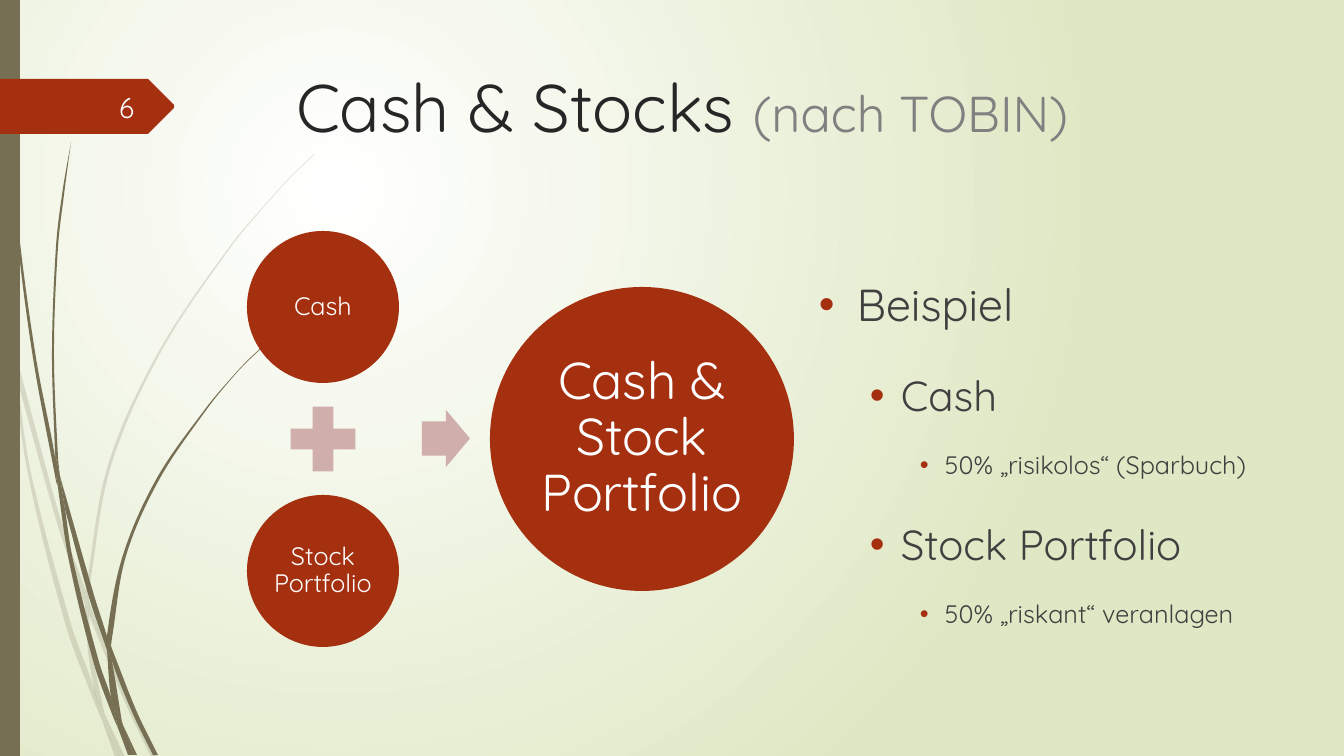
import math
from typing import NamedTuple

from lxml import etree
from pptx import Presentation
from pptx import util as u
from pptx.dml.color import RGBColor
from pptx.enum import shapes, text
from pptx.oxml.ns import qn

EMU_PER_PX = 12192000 / 1344
SLIDE_SIZE = (1344, 756)
FONT = "Quicksand"

RUST = RGBColor(0xA5, 0x30, 0x10)
ROSE = RGBColor(0xCF, 0xAE, 0xAB)
OLIVE = RGBColor(0x76, 0x6F, 0x54)
LIME = RGBColor(0xDF, 0xE8, 0xC4)
WHITE = RGBColor(0xFF, 0xFF, 0xFF)
OFF_WHITE = RGBColor(0xFE, 0xFF, 0xFF)
INK = RGBColor(0x26, 0x26, 0x26)
BODY = RGBColor(0x40, 0x40, 0x40)
GREY = RGBColor(0x80, 0x80, 0x80)

Point = tuple[int, int]


class Box(NamedTuple):
    left: int
    top: int
    width: int
    height: int


class Blade(NamedTuple):
    """A piece of grass: one edge out, the other edge back."""
    out: list[Point]
    back: list[Point]


class Figure(NamedTuple):
    preset: shapes.MSO_SHAPE
    box: Box
    color: RGBColor
    adjustments: tuple[float, ...] = ()
    label: str = ""
    size: int = 0
    inset: int = 0


class Level(NamedTuple):
    margin: int
    hang: int
    size: int


PALE_GRASS = [
    Blade([(11, 353), (9, 325), (0, 284)], [(0, 301), (10, 347)]),
    Blade([(17, 379), (58, 526), (85, 604)], [(86, 591), (62, 524), (14, 348)]),
    Blade([(89, 615), (124, 700), (151, 757)], [(156, 757), (128, 698), (93, 612), (89, 601)]),
    Blade([(106, 717), (120, 757)], [(125, 757)]),
    Blade([(11, 353), (28, 474), (66, 626), (93, 699), (102, 720)],
          [(100, 713), (94, 688), (71, 624), (31, 473), (17, 379)]),
    Blade([(85, 604), (88, 651), (94, 688), (97, 698), (106, 717)],
          [(104, 712), (92, 651), (89, 615), (89, 613)]),
    Blade([(89, 589), (111, 466), (161, 352), (231, 247), (270, 200), (292, 176), (314, 155)],
          [(314, 154), (291, 176), (270, 199), (230, 246), (159, 351), (108, 465), (86, 589),
           (86, 591), (89, 601)]),
    Blade([(102, 720), (115, 757)], [(120, 757)]),
    Blade([(89, 613), (89, 601)], [(86, 591), (85, 604)]),
    Blade([(94, 688), (100, 713), (102, 720), (120, 757)], [(106, 717), (97, 698)]),
]
DARK_GRASS = [
    Blade([(4, 0), (5, 48), (8, 110), (19, 234), (36, 358), (55, 457), (57, 485)],
          [(56, 481), (33, 358), (17, 235), (7, 111), (4, 48), (3, 0)]),
    Blade([(65, 509), (89, 597), (107, 650)], [(107, 638), (107, 636), (94, 595), (60, 476)]),
    Blade([(111, 646), (112, 661), (133, 714), (153, 755)], [(158, 755), (137, 712), (114, 654)]),
    Blade([(57, 481), (69, 561), (94, 664), (112, 714), (118, 728)],
          [(117, 723), (111, 697), (99, 662), (73, 560), (65, 509)]),
    Blade([(60, 476), (58, 457), (54, 352), (58, 247), (64, 195), (71, 142)],
          [(71, 142), (62, 195), (56, 247), (52, 352), (55, 453)]),
    Blade([(123, 725), (134, 755)], [(137, 755)]),
    Blade([(55, 453), (55, 457), (57, 481), (65, 509)], [(60, 476)]),
    Blade([(112, 638), (126, 556), (159, 480), (207, 409), (233, 377), (247, 362), (263, 347)],
          [(262, 347), (247, 361), (233, 376), (206, 408), (157, 478), (123, 555), (107, 636),
           (111, 646)]),
    Blade([(118, 728), (128, 755)], [(132, 755)]),
    Blade([(107, 650), (111, 697), (117, 712), (123, 725)], [(122, 722), (112, 661), (110, 656)]),
    Blade([(107, 650), (110, 656), (112, 661)], [(111, 646), (107, 636)]),
    Blade([(111, 697), (117, 723), (118, 728), (131, 755)], [(134, 755), (123, 725), (117, 712)]),
]
NUMBER_TAG = [(0, 79), (148, 79), (174, 105), (174, 108), (148, 134), (0, 134)]

EDGE = Figure(shapes.MSO_SHAPE.RECTANGLE, Box(0, 0, 20, 756), OLIVE)
DIAGRAM = [
    Figure(shapes.MSO_SHAPE.OVAL, Box(247, 231, 152, 152), RUST, (), "Cash", 18, 3),
    Figure(shapes.MSO_SHAPE.MATH_PLUS, Box(279, 395, 88, 88), ROSE),
    Figure(shapes.MSO_SHAPE.OVAL, Box(247, 495, 152, 152), RUST, (), "Stock Portfolio", 18, 3),
    Figure(shapes.MSO_SHAPE.RIGHT_ARROW, Box(422, 410, 48, 57), ROSE, (0.6, 0.5)),
    Figure(shapes.MSO_SHAPE.OVAL, Box(490, 287, 304, 304), RUST, (),
           "Cash & Stock Portfolio", 37, 5),
]

LEVELS = [Level(38, 38, 32), Level(82, 31, 30), Level(126, 25, 18)]
EXAMPLE = [
    (0, "Beispiel"),
    (1, "Cash"),
    (2, "50% „risikolos“ (Sparbuch)"),
    (1, "Stock Portfolio"),
    (2, "50% „riskant“ veranlagen"),
]


def px(length: float) -> u.Emu:
    return u.Emu(round(length * EMU_PER_PX))


def style_run(run, size: int, color: RGBColor) -> None:
    run.font.name = FONT
    run.font.size = u.Pt(size)
    run.font.color.rgb = color


def paint(shape, color: RGBColor) -> None:
    shape.shadow.inherit = False
    shape.fill.solid()
    shape.fill.fore_color.rgb = color
    shape.line.fill.background()


def paint_background(slide) -> None:
    """Radial gradient centred in the upper left quarter."""
    fill = slide.background.fill
    fill.gradient()
    for stop, color in zip(fill.gradient_stops, (WHITE, LIME)):
        stop.color.rgb = color
    gradient = next(slide.element.iter(qn("a:gradFill")))
    gradient.remove(gradient.find(qn("a:lin")))
    circle = etree.SubElement(gradient, qn("a:path"), {"path": "circle"})
    etree.SubElement(circle, qn("a:fillToRect"),
                     {"l": "50000", "t": "50000", "r": "100000", "b": "100000"})


def draw_outline(slide, points: list[Point], color: RGBColor):
    outline = [(px(x), px(y)) for x, y in points]
    builder = slide.shapes.build_freeform(*outline[0])
    builder.add_line_segments(outline[1:], close=True)
    shape = builder.convert_to_shape()
    paint(shape, color)
    return shape


def handles(edge: list[Point]) -> list[tuple]:
    """Two Bézier handles for each segment of a smooth edge."""
    padded = [edge[0], *edge, edge[-1]]
    pairs = []
    for a, b, c, d in zip(padded, padded[1:], padded[2:], padded[3:]):
        reach = math.dist(b, c) / 3
        start, end = reach / math.dist(a, c), reach / math.dist(b, d)
        pairs.append(((b[0] + (c[0] - a[0]) * start, b[1] + (c[1] - a[1]) * start),
                      (c[0] - (d[0] - b[0]) * end, c[1] - (d[1] - b[1]) * end)))
    return pairs


def draw_blade(slide, blade: Blade, opacity: int) -> None:
    shape = draw_outline(slide, blade.out + blade.back, OLIVE)
    bends = [*handles(blade.out), None, *handles(blade.back)]
    segments = list(shape.element.spPr.iter(qn("a:lnTo")))
    for segment, bend in zip(segments, bends):
        if bend:
            segment.tag = qn("a:cubicBezTo")
            for index, (x, y) in enumerate(bend):
                handle = etree.Element(qn("a:pt"), x=str(px(x) - shape.left),
                                       y=str(px(y) - shape.top))
                segment.insert(index, handle)
    if opacity < 100:
        color = next(shape.element.spPr.iter(qn("a:srgbClr")))
        etree.SubElement(color, qn("a:alpha"), val=str(opacity * 1000))


def draw_figure(slide, figure: Figure) -> None:
    shape = slide.shapes.add_shape(figure.preset, *map(px, figure.box))
    paint(shape, figure.color)
    for index, value in enumerate(figure.adjustments):
        shape.adjustments[index] = value
    if figure.label:
        frame = shape.text_frame
        frame.text = figure.label
        frame.word_wrap = True
        frame.vertical_anchor = text.MSO_ANCHOR.MIDDLE
        frame.margin_left = frame.margin_right = px(figure.inset)
        frame.margin_top = frame.margin_bottom = px(figure.inset)
        label = frame.paragraphs[0]
        label.alignment = text.PP_ALIGN.CENTER
        label.line_spacing = 0.9
        style_run(label.runs[0], figure.size, WHITE)


def write_title(slide) -> None:
    title = slide.shapes.title
    title.left, title.top, title.width, title.height = map(px, Box(286, 60, 983, 141))
    frame = title.text_frame
    frame.vertical_anchor = text.MSO_ANCHOR.TOP
    frame.auto_size = text.MSO_AUTO_SIZE.NONE
    heading = frame.paragraphs[0]
    heading.alignment = text.PP_ALIGN.LEFT
    for words, size, color in (("Cash & Stocks ", 48, INK), ("(nach TOBIN)", 36, GREY)):
        run = heading.add_run()
        run.text = words
        style_run(run, size, color)


def write_slide_number(slide) -> None:
    frame = slide.shapes.add_textbox(*map(px, Box(58, 87, 86, 40))).text_frame
    frame.word_wrap = True
    frame.vertical_anchor = text.MSO_ANCHOR.MIDDLE
    frame.text = "6"
    number = frame.paragraphs[0]
    number.alignment = text.PP_ALIGN.RIGHT
    style_run(number.runs[0], 20, OFF_WHITE)


def write_example(slide) -> None:
    frame = slide.shapes.add_textbox(*map(px, Box(809, 245, 474, 416))).text_frame
    frame.word_wrap = True
    frame.text = "\n".join(words for _, words in EXAMPLE)
    for item, (depth, _) in zip(frame.paragraphs, EXAMPLE):
        level = LEVELS[depth]
        item.level = depth
        item.line_spacing = 1.5
        item.space_before = u.Pt(10)
        style_run(item.runs[0], level.size, BODY)
        props = item._p.get_or_add_pPr()
        props.set("marL", str(px(level.margin)))
        props.set("indent", str(px(-level.hang)))
        bullet_color = etree.SubElement(props, qn("a:buClr"))
        etree.SubElement(bullet_color, qn("a:srgbClr"), val=str(RUST))
        etree.SubElement(props, qn("a:buFont"), typeface="Arial")
        etree.SubElement(props, qn("a:buChar"), char="•")


def main() -> None:
    deck = Presentation()
    deck.slide_width, deck.slide_height = map(px, SLIDE_SIZE)
    slide = deck.slides.add_slide(deck.slide_layouts[5])
    paint_background(slide)
    for grass, opacity in ((PALE_GRASS, 20), (DARK_GRASS, 100)):
        for blade in grass:
            draw_blade(slide, blade, opacity)
    draw_figure(slide, EDGE)
    draw_outline(slide, NUMBER_TAG, RUST)
    for figure in DIAGRAM:
        draw_figure(slide, figure)
    write_title(slide)
    write_slide_number(slide)
    write_example(slide)
    deck.save("out.pptx")


if __name__ == "__main__":
    main()
